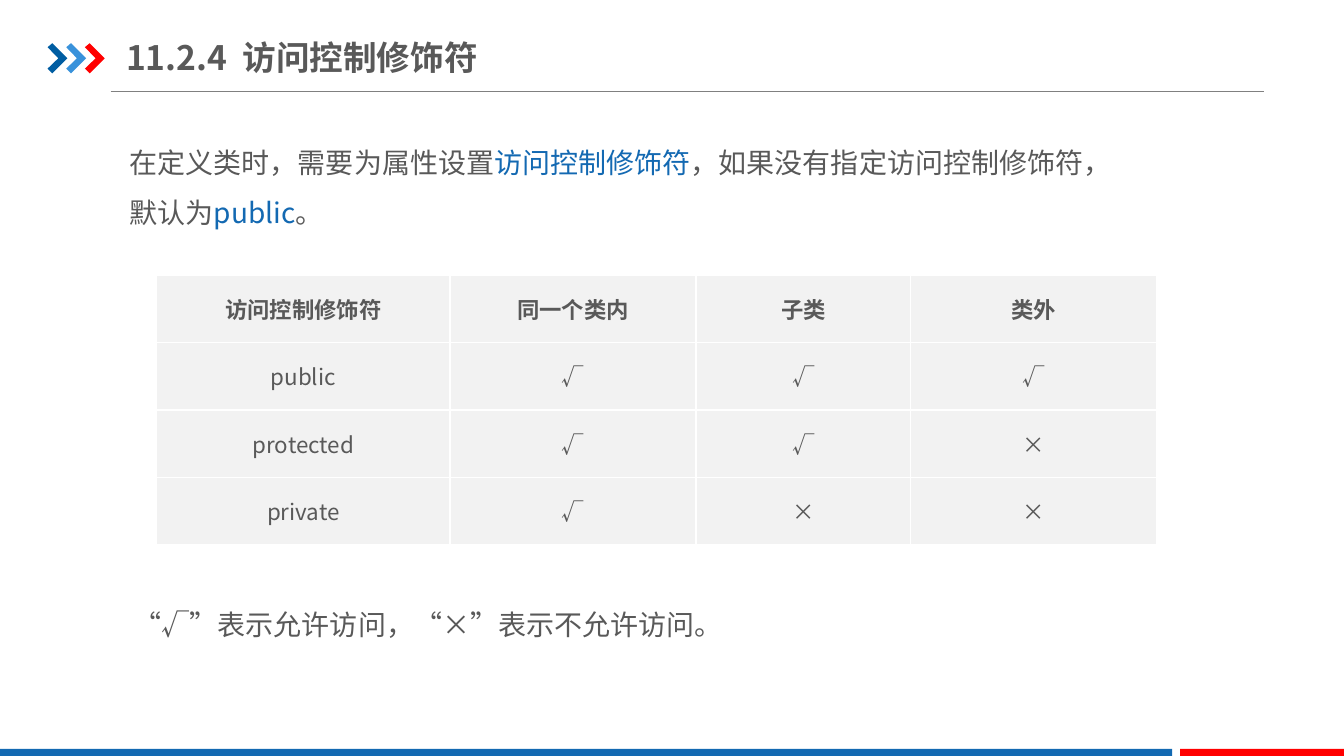
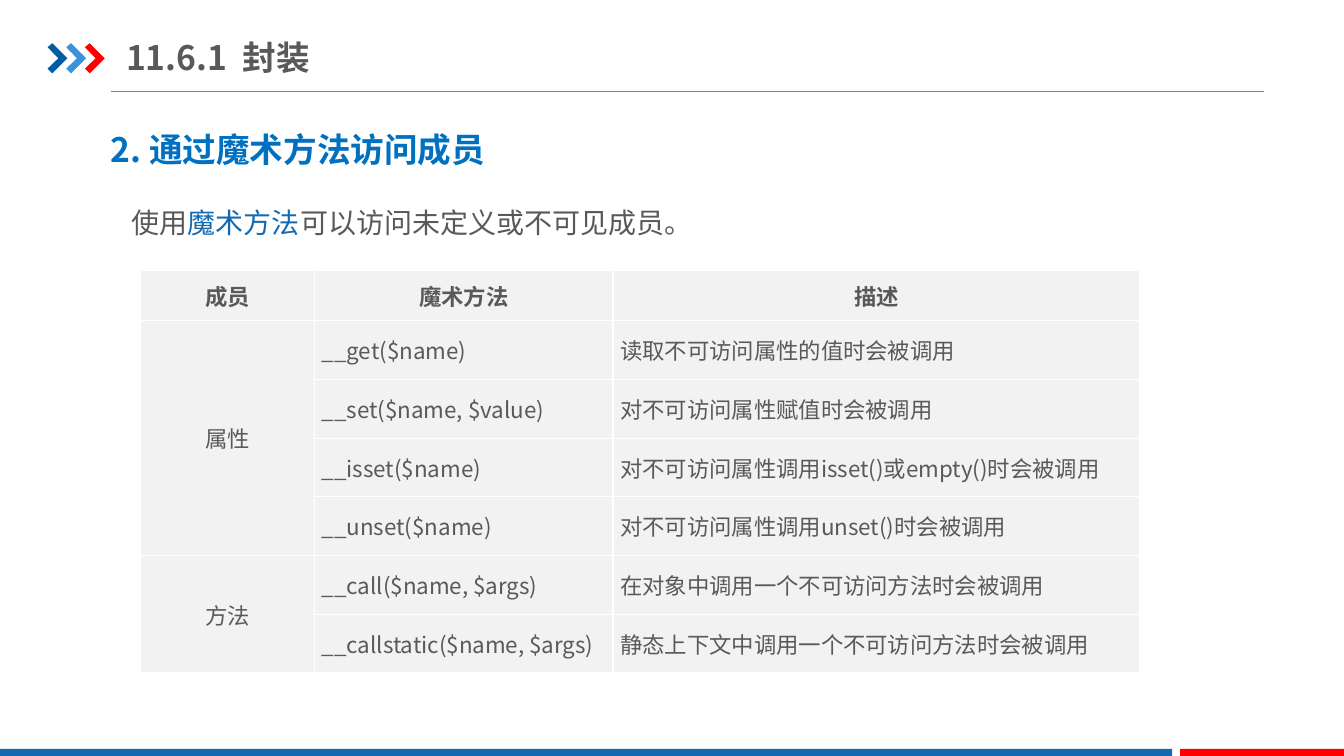
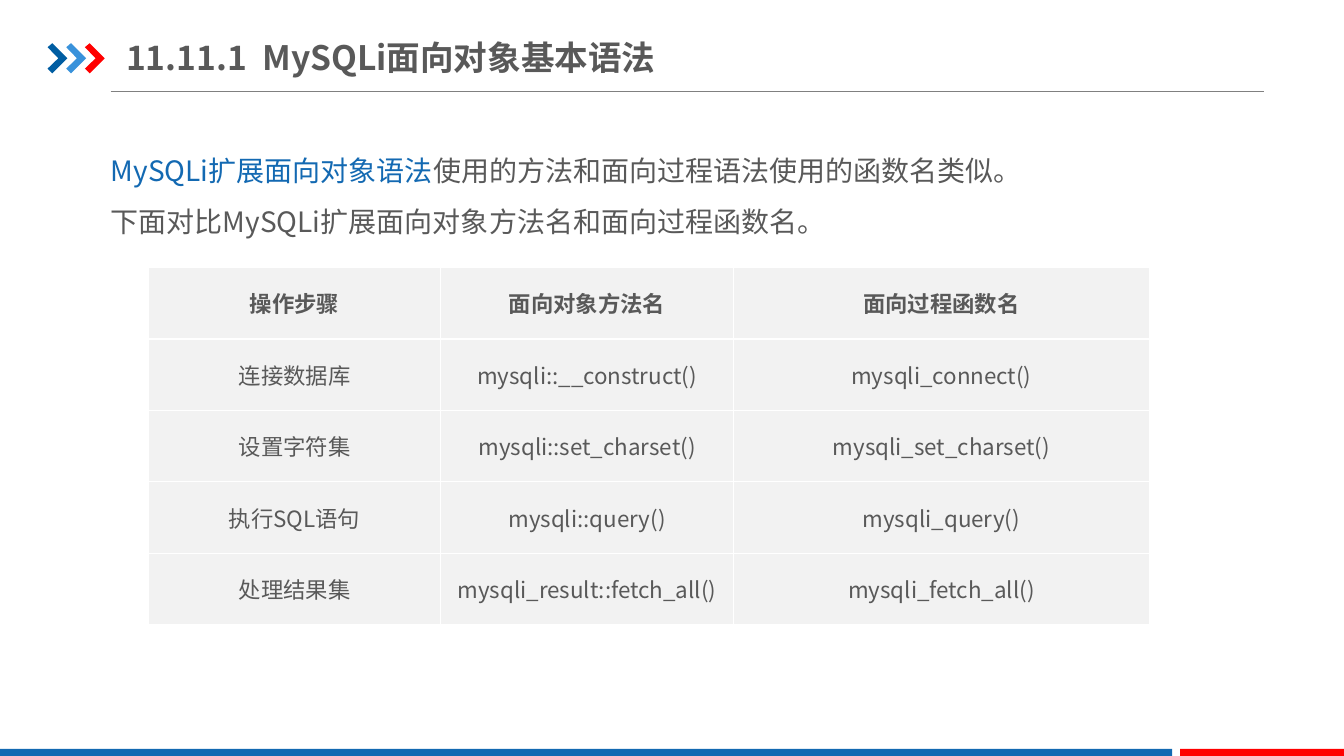
from lxml import etree
from pptx import Presentation
from pptx.dml.color import RGBColor
from pptx.enum.shapes import MSO_CONNECTOR, MSO_SHAPE
from pptx.enum.text import MSO_ANCHOR, MSO_AUTO_SIZE, PP_ALIGN
from pptx.oxml.ns import qn
from pptx.util import Cm, Pt

FONT = "Noto Sans CJK SC"
GREY = RGBColor(0x59, 0x59, 0x59)
BLUE = RGBColor(0x13, 0x69, 0xB2)
HEADING_BLUE = RGBColor(0x00, 0x70, 0xC0)
DARK_BLUE = RGBColor(0x00, 0x5D, 0xA2)
LIGHT_BLUE = RGBColor(0x39, 0x92, 0xDB)
RED = RGBColor(0xFF, 0x00, 0x00)
RULE_GREY = RGBColor(0x80, 0x80, 0x80)
CELL_GREY = RGBColor(0xF2, 0xF2, 0xF2)
STRAIGHT = MSO_CONNECTOR.STRAIGHT
RECTANGLE = MSO_SHAPE.RECTANGLE
MIDDLE = MSO_ANCHOR.MIDDLE
NO_FIT = MSO_AUTO_SIZE.NONE
GROW = MSO_AUTO_SIZE.SHAPE_TO_FIT_TEXT
LEFT, CENTER, JUSTIFY = PP_ALIGN.LEFT, PP_ALIGN.CENTER, PP_ALIGN.JUSTIFY

# Each text: left, top, width, height, size, bold, line spacing, paragraphs of runs.
# Each table: left, top, column widths, row heights, body alignment, row spans, rows.
PAGES = [
    {
        "title": "11.2.4  访问控制修饰符",
        "title_width": 10.82,
        "texts": [
            (3.02, 3.12, 29, 2.82, 20, False, 1.5, [
                [("在定义类时，需要为属性设置", GREY), ("访问控制修饰符", BLUE),
                 ("，如果没有指定访问控制修饰符，", GREY)],
                [("默认为", GREY), ("public", BLUE), ("。", GREY)],
            ]),
            (3.12, 14.76, 29, 1.4, 20, False, 1.5, [
                [("“√”表示允许访问，“×”表示不允许访问。", GREY)],
            ]),
        ],
        "table": (3.95, 6.93, [7.39, 6.2, 5.41, 6.2], [1.7] * 4, CENTER, [], [
            ["访问控制修饰符", "同一个类内", "子类", "类外"],
            ["public", "√", "√", "√"],
            ["protected", "√", "√", "×"],
            ["private", "√", "×", "×"],
        ]),
    },
    {
        "title": "11.6.1  封装",
        "title_width": 10.82,
        "texts": [
            (2.54, 3.12, 15.37, 1.27, 24, True, None, [
                [("2. 通过魔术方法访问成员", HEADING_BLUE)],
            ]),
            (3.07, 5.05, 23.6, 1.12, 20, False, None, [
                [("使用", GREY), ("魔术方法", BLUE),
                 ("可以访问未定义或不可见成员。", GREY)],
            ]),
        ],
        "table": (3.54, 6.82, [4.39, 7.52, 13.28], [1.26] + [1.48] * 6,
                  JUSTIFY, [(1, 4), (5, 6)], [
            ["成员", "魔术方法", "描述"],
            ["属性", "__get($name)", "读取不可访问属性的值时会被调用"],
            [None, "__set($name, $value)", "对不可访问属性赋值时会被调用"],
            [None, "__isset($name)", "对不可访问属性调用isset()或empty()时会被调用"],
            [None, "__unset($name)", "对不可访问属性调用unset()时会被调用"],
            ["方法", "__call($name, $args)", "在对象中调用一个不可访问方法时会被调用"],
            [None, "__callstatic($name, $args)", "静态上下文中调用一个不可访问方法时会被调用"],
        ]),
    },
    {
        "title": "11.11.1  MySQLi面向对象基本语法",
        "title_width": 13.94,
        "texts": [
            (2.54, 3.33, 28.6, 2.82, 20, False, 1.5, [
                [("MySQLi扩展面向对象语法", BLUE),
                 ("使用的方法和面向过程语法使用的函数名类似。", GREY)],
                [("下面对比MySQLi扩展面向对象方法名和面向过程函数名。", GREY)],
            ]),
        ],
        "table": (3.74, 6.74, [7.37, 7.37, 10.49], [1.8] * 5, CENTER, [], [
            ["操作步骤", "面向对象方法名", "面向过程函数名"],
            ["连接数据库", "mysqli::__construct()", "mysqli_connect()"],
            ["设置字符集", "mysqli::set_charset()", "mysqli_set_charset()"],
            ["执行SQL语句", "mysqli::query()", "mysqli_query()"],
            ["处理结果集", "mysqli_result::fetch_all()", "mysqli_fetch_all()"],
        ]),
    },
]


def add_span(para, text, size, color, bold=False):
    span = para.add_run()
    span.text = text
    span.font.size = Pt(size)
    span.font.bold = bold
    span.font.color.rgb = color
    span.font.name = FONT
    east_asian = etree.SubElement(span.font._element, qn("a:ea"))
    east_asian.set("typeface", FONT)


def style_cell(cell):
    cell.vertical_anchor = MIDDLE
    cell.margin_left = cell.margin_right = Cm(0.18)
    cell.margin_top = cell.margin_bottom = 0
    properties = cell._tc.get_or_add_tcPr()
    for side in ("a:lnL", "a:lnR", "a:lnT", "a:lnB"):
        border = etree.SubElement(properties, qn(side), w=str(Pt(1)))
        fill = etree.SubElement(border, qn("a:solidFill"))
        etree.SubElement(fill, qn("a:srgbClr"), val="FFFFFF")
    cell.fill.solid()
    cell.fill.fore_color.rgb = CELL_GREY


deck = Presentation()
deck.slide_width = Cm(33.87)
deck.slide_height = Cm(19.05)
layout = deck.slide_layouts[5]
for holder in list(layout.placeholders):
    if holder.placeholder_format.idx != 0:
        holder.element.getparent().remove(holder.element)
pages = [deck.slides.add_slide(layout) for _ in PAGES]

# Shared decoration: drawn once, then moved into the layout
canvas = pages[0].shapes
rule = canvas.add_connector(STRAIGHT, Cm(2.79), Cm(2.31), Cm(31.85), Cm(2.31))
rule.line.color.rgb = RULE_GREY
rule.line.width = Pt(0.75)
etree.SubElement(rule.element.spPr, qn("a:effectLst"))
decoration = [rule]

# Chevron corners in hundredths of a centimetre
CHEVRON = [(0, 10), (12, 0), (50, 38), (12, 76), (0, 64), (27, 38)]
filled = []
for index, color in enumerate([DARK_BLUE, LIGHT_BLUE, RED]):
    corners = [(120 + 47 * index + x, 109 + y) for x, y in CHEVRON]
    outline = canvas.build_freeform(*corners[0], scale=Cm(0.01))
    outline.add_line_segments(corners[1:], close=True)
    filled.append((outline.convert_to_shape(), color))
for left, width, color in [(0, 29.54, BLUE), (29.74, 4.13, RED)]:
    band = canvas.add_shape(RECTANGLE, Cm(left), Cm(18.87), Cm(width), Cm(0.22))
    filled.append((band, color))
for shape, color in filled:
    shape.shadow.inherit = False
    shape.fill.solid()
    shape.fill.fore_color.rgb = color
    shape.line.fill.background()
    decoration.append(shape)
for shape in decoration:
    layout.element.cSld.spTree.append(shape.element)

for page, content in zip(pages, PAGES):
    # Title
    title = page.shapes.title
    title.left, title.top = Cm(3.18), Cm(0.74)
    title.width, title.height = Cm(content["title_width"]), Cm(1.4)
    frame = title.text_frame
    frame.auto_size = NO_FIT
    frame.word_wrap = False
    frame.vertical_anchor = MIDDLE
    frame.margin_left = frame.margin_right = 0
    frame.margin_top = frame.margin_bottom = Cm(0.18)
    frame.paragraphs[0].alignment = LEFT
    add_span(frame.paragraphs[0], content["title"], 24, GREY, True)

    # Text blocks
    for left, top, width, height, size, bold, spacing, lines in content["texts"]:
        box = page.shapes.add_textbox(Cm(left), Cm(top), Cm(width), Cm(height))
        frame = box.text_frame
        frame.word_wrap = True
        frame.auto_size = GROW
        for number, line in enumerate(lines):
            para = frame.add_paragraph() if number else frame.paragraphs[0]
            para.line_spacing = spacing
            for text, color in line:
                add_span(para, text, size, color, bold)

    # Table
    left, top, widths, heights, body_alignment, spans, rows = content["table"]
    table = page.shapes.add_table(
        len(heights), len(widths), Cm(left), Cm(top),
        Cm(sum(widths)), Cm(sum(heights))).table
    for column, width in zip(table.columns, widths):
        column.width = Cm(width)
    for row, height in zip(table.rows, heights):
        row.height = Cm(height)
    for first, last in spans:
        table.cell(first, 0).merge(table.cell(last, 0))
    for r, row in enumerate(rows):
        for c, text in enumerate(row):
            cell = table.cell(r, c)
            style_cell(cell)
            if text is not None:
                para = cell.text_frame.paragraphs[0]
                para.alignment = CENTER if r == 0 or c == 0 else body_alignment
                add_span(para, text, 16, GREY, r == 0)

deck.save("out.pptx")
